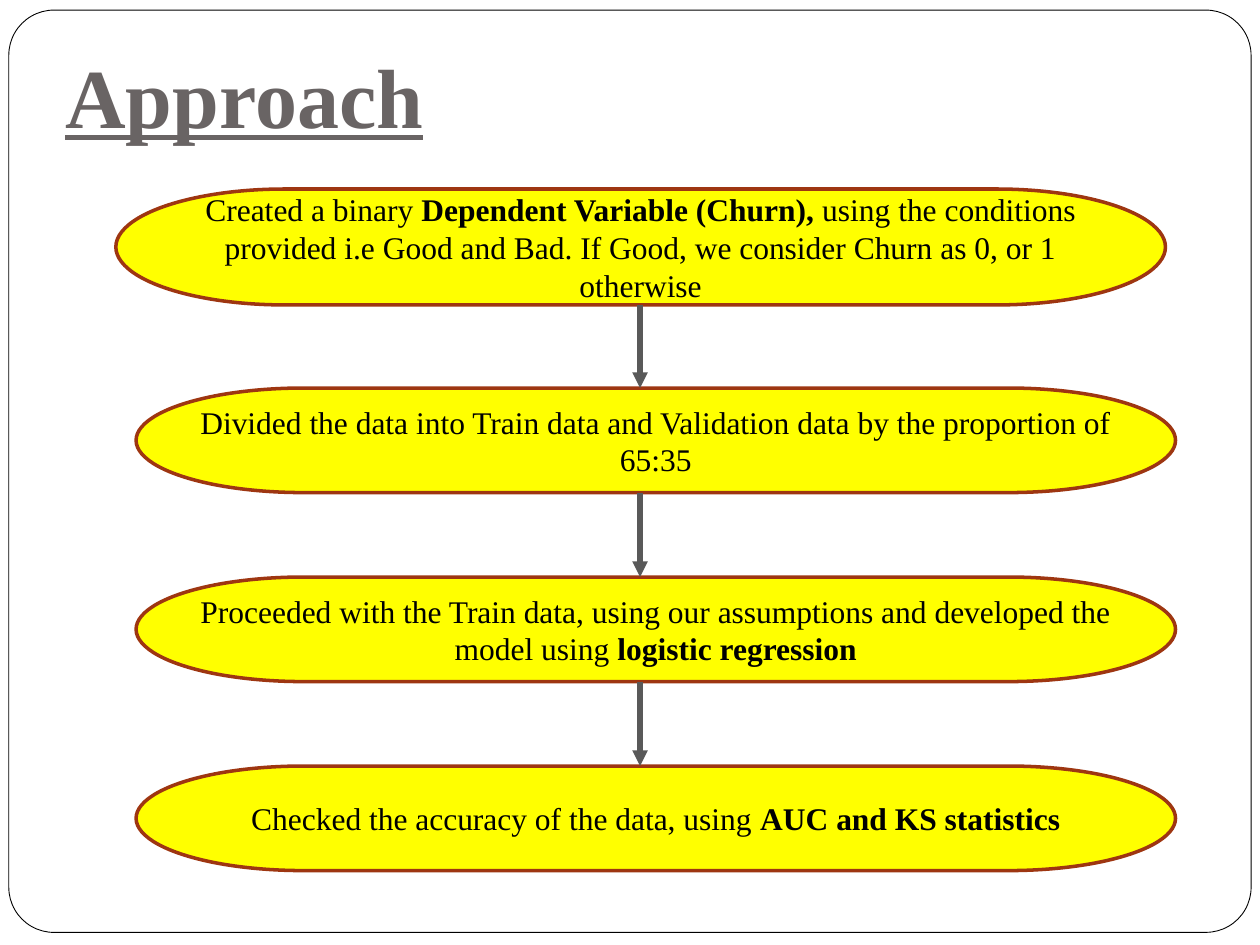
from lxml.etree import SubElement
from pptx import Presentation
from pptx.dml.color import RGBColor
from pptx.enum.shapes import MSO_CONNECTOR, MSO_SHAPE
from pptx.enum.text import MSO_ANCHOR, PP_ALIGN
from pptx.oxml.ns import qn
from pptx.util import Inches, Pt

FONT = "Times New Roman"
ARROW_X = 5.08
# Each step: left, top, width, height, then runs of (text, bold)
STEPS = [
    (0.92, 1.5, 8.33, 0.92, [
        ("Created a binary ", False),
        ("Dependent Variable (Churn), ", True),
        ("using the conditions provided i.e Good and Bad. "
         "If Good, we consider Churn as 0, or 1 otherwise", False)]),
    (1.08, 3.08, 8.25, 0.83, [
        ("Divided the data into Train data and Validation data "
         "by the proportion of 65:35", False)]),
    (1.08, 4.58, 8.25, 0.83, [
        ("Proceeded with the Train data, using our assumptions "
         "and developed the model using ", False),
        ("logistic regression", True)]),
    (1.08, 6.08, 8.25, 0.83, [
        ("Checked the accuracy of the data, using ", False),
        ("AUC and KS statistics", True)]),
]


def color(hex_value):
    """Turn a hex string into a colour."""
    return RGBColor.from_string(hex_value)


def add_run(paragraph, text, size, hex_value, bold=False, underline=None):
    """Append one formatted run to a paragraph."""
    run = paragraph.add_run()
    run.text = text
    font = run.font
    font.name, font.size = FONT, Pt(size)
    font.bold, font.underline = bold, underline
    font.color.rgb = color(hex_value)


def add_box(slide, preset, left, top, width, height, fill, line, weight):
    """Add a filled and outlined preset shape without shadow."""
    shape = slide.shapes.add_shape(
        preset, Inches(left), Inches(top), Inches(width), Inches(height))
    shape.shadow.inherit = False
    shape.fill.solid()
    shape.fill.fore_color.rgb = color(fill)
    shape.line.color.rgb = color(line)
    shape.line.width = Pt(weight)
    return shape


def add_frame(slide):
    """Add the rounded border around the slide."""
    frame = add_box(slide, MSO_SHAPE.ROUNDED_RECTANGLE,
                    0.07, 0.08, 9.86, 7.32, "FFFFFF", "000000", 0.5)
    frame.adjustments[0] = 0.049


def add_title(slide, text):
    """Add the underlined heading."""
    title = slide.shapes.add_textbox(
        Inches(0.42), Inches(0), Inches(8.5), Inches(1.25))
    text_frame = title.text_frame
    text_frame.word_wrap = True
    text_frame.vertical_anchor = MSO_ANCHOR.BOTTOM
    text_frame.margin_bottom = Inches(0.1)
    add_run(text_frame.paragraphs[0], text, 48, "696464", True, True)


def add_step(slide, left, top, width, height, runs):
    """Add one process step with centred text."""
    step = add_box(slide, MSO_SHAPE.FLOWCHART_TERMINATOR,
                   left, top, width, height, "FFFF00", "9E3611", 2)
    text_frame = step.text_frame
    text_frame.word_wrap = True
    text_frame.vertical_anchor = MSO_ANCHOR.MIDDLE
    paragraph = text_frame.paragraphs[0]
    paragraph.alignment = PP_ALIGN.CENTER
    for text, bold in runs:
        add_run(paragraph, text, 18, "000000", bold)


def add_arrow(slide, start, end):
    """Add a downward arrow between two heights."""
    arrow = slide.shapes.add_connector(
        MSO_CONNECTOR.STRAIGHT, Inches(ARROW_X), Inches(start),
        Inches(ARROW_X), Inches(end))
    arrow.line.color.rgb = color("595959")
    arrow.line.width = Pt(3)
    SubElement(arrow.line._get_or_add_ln(), qn("a:tailEnd"), type="triangle")
    SubElement(arrow._element.spPr, qn("a:effectLst"))


def main():
    """Build the slide and save it."""
    presentation = Presentation()
    presentation.slide_width = Inches(10)
    presentation.slide_height = Inches(7.5)
    slide = presentation.slides.add_slide(presentation.slide_layouts[6])
    add_frame(slide)
    add_title(slide, "Approach")
    for step in STEPS:
        add_step(slide, *step)
    for upper, lower in zip(STEPS, STEPS[1:]):
        add_arrow(slide, upper[1] + upper[3], lower[1])
    presentation.save("out.pptx")


main()
